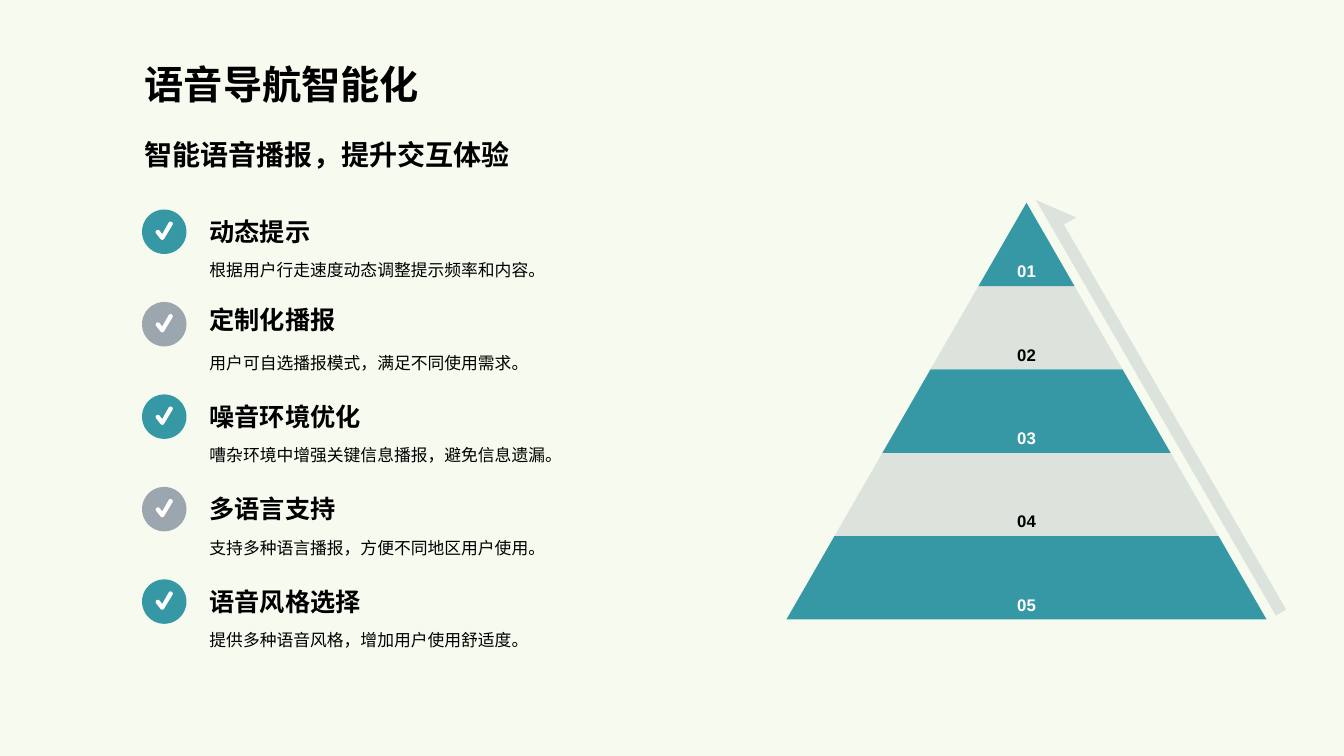
import math
from dataclasses import dataclass

import pptx
import pptx.dml.color
import pptx.enum.shapes
import pptx.enum.text
import pptx.oxml.ns
import pptx.util
from lxml import etree
from pptx.util import Cm

ANCHOR = pptx.enum.text.MSO_ANCHOR
ALIGN = pptx.enum.text.PP_ALIGN
TEAL = "3698A4"
GRAY = "768394"
WHITE = "FFFFFF"
BLACK = "000000"
BACKGROUND = "F6FAEF"

ICON_LEFT, ICON_TOP, ICON_SIZE, ROW_PITCH = 3.58, 5.28, 1.12, 2.33
TEXT_LEFT, TEXT_WIDTH = 5.03, 14.27
APEX_X, APEX_Y, TIER_HEIGHT, TIER_SPREAD = 25.87, 5.11, 2.1, 1.21

Point = tuple[float, float]


@dataclass(frozen=True)
class Feature:
    heading: str
    body: str
    heading_lift: float = 0


@dataclass(frozen=True)
class Label:
    text: str
    left: float
    top: float
    width: float
    height: float
    size: int
    bold: bool = True
    anchor: ANCHOR = ANCHOR.TOP
    line_spacing: float = 1.0


FEATURES = [
    Feature("动态提示", "根据用户行走速度动态调整提示频率和内容。"),
    Feature("定制化播报", "用户可自选播报模式，满足不同使用需求。", 0.11),
    Feature("噪音环境优化", "嘈杂环境中增强关键信息播报，避免信息遗漏。"),
    Feature("多语言支持", "支持多种语言播报，方便不同地区用户使用。"),
    Feature("语音风格选择", "提供多种语音风格，增加用户使用舒适度。"),
]


def color(value: str) -> pptx.dml.color.RGBColor:
    return pptx.dml.color.RGBColor.from_string(value)


def paint(shape, fill: str, opacity: int = 100) -> None:
    shape.shadow.inherit = False
    shape.line.fill.background()
    shape.fill.solid()
    shape.fill.fore_color.rgb = color(fill)
    if opacity < 100:
        tone = shape.fill._xPr.find(".//" + pptx.oxml.ns.qn("a:srgbClr"))
        alpha = etree.SubElement(tone, pptx.oxml.ns.qn("a:alpha"))
        alpha.set("val", str(opacity * 1000))


def style(paragraph, size: int, bold: bool, text_color: str) -> None:
    paragraph.font.name = "Arial"
    paragraph.font.size = pptx.util.Pt(size)
    paragraph.font.bold = bold
    paragraph.font.color.rgb = color(text_color)


def add_label(slide, label: Label) -> None:
    shape = slide.shapes.add_textbox(
        Cm(label.left), Cm(label.top), Cm(label.width), Cm(label.height)
    )
    frame = shape.text_frame
    frame.word_wrap = True
    frame.vertical_anchor = label.anchor
    paragraph = frame.paragraphs[0]
    paragraph.text = label.text
    paragraph.line_spacing = label.line_spacing
    style(paragraph, label.size, label.bold, BLACK)


def add_polygon(slide, points: list[Point], fill: str, opacity: int = 100):
    corners = [(Cm(x), Cm(y)) for x, y in points]
    builder = slide.shapes.build_freeform(*corners[0])
    builder.add_line_segments(corners[1:], close=True)
    shape = builder.convert_to_shape()
    paint(shape, fill, opacity)
    return shape


def arc(x: float, y: float, start: int, end: int) -> list[Point]:
    radius, steps = 0.055, 12
    angles = [math.radians(start + (end - start) * i / steps) for i in range(steps + 1)]
    return [(x + radius * math.cos(a), y + radius * math.sin(a)) for a in angles]


def add_check_icon(slide, top: float, fill: str, opacity: int) -> None:
    circle = slide.shapes.add_shape(
        pptx.enum.shapes.MSO_SHAPE.OVAL,
        Cm(ICON_LEFT), Cm(top), Cm(ICON_SIZE), Cm(ICON_SIZE),
    )
    paint(circle, fill, opacity)
    tick = [
        *arc(0.4, 0.57, -38, -218),
        *arc(0.51, 0.71, 142, 31),
        *arc(0.72, 0.36, 31, -149),
        (0.51, 0.62),
    ]
    add_polygon(slide, [(ICON_LEFT + x, top + y) for x, y in tick], WHITE)


def add_feature(slide, index: int, feature: Feature) -> None:
    top = ICON_TOP + index * ROW_PITCH
    fill, opacity = (GRAY, 70) if index % 2 else (TEAL, 100)
    add_check_icon(slide, top, fill, opacity)
    add_label(slide, Label(feature.body, TEXT_LEFT, top + 1.05, TEXT_WIDTH, 1.12,
                           12, bold=False, line_spacing=1.2))
    add_label(slide, Label(feature.heading, TEXT_LEFT, top - feature.heading_lift,
                           TEXT_WIDTH, 1.05, 18, anchor=ANCHOR.BOTTOM))


def add_tier(slide, index: int) -> None:
    top = APEX_Y + index * TIER_HEIGHT
    bottom = top + TIER_HEIGHT
    upper, lower = index * TIER_SPREAD, (index + 1) * TIER_SPREAD
    points = [
        (APEX_X - upper, top),
        (APEX_X + upper, top),
        (APEX_X + lower, bottom),
        (APEX_X - lower, bottom),
    ]
    fill, opacity, text_color = (GRAY, 20, BLACK) if index % 2 else (TEAL, 100, WHITE)
    frame = add_polygon(slide, points, fill, opacity).text_frame
    frame.vertical_anchor = ANCHOR.BOTTOM
    paragraph = frame.paragraphs[0]
    paragraph.text = f"{index + 1:02d}"
    paragraph.alignment = ALIGN.CENTER
    style(paragraph, 12, True, text_color)


def add_rising_arrow(slide) -> None:
    left, top = 23.37, 9.78
    outline = [(12.09, 0), (11.2, 0.66), (11.2, 0.3), (0, 0.3), (0, 0)]
    points = [(left + x, top + y) for x, y in outline]
    add_polygon(slide, points, GRAY, 20).rotation = 240


def main() -> None:
    presentation = pptx.Presentation()
    presentation.slide_width = Cm(33.87)
    presentation.slide_height = Cm(19.05)
    slide = presentation.slides.add_slide(presentation.slide_layouts[6])
    slide.background.fill.solid()
    slide.background.fill.fore_color.rgb = color(BACKGROUND)

    add_label(slide, Label("语音导航智能化", 3.4, 0.33, 30.18, 2.49, 28,
                           anchor=ANCHOR.BOTTOM))
    add_rising_arrow(slide)
    for index, feature in enumerate(FEATURES):
        add_feature(slide, index, feature)
        add_tier(slide, index)
    add_label(slide, Label("智能语音播报，提升交互体验", 3.4, 3.33, 14.71, 1.47, 20))
    presentation.save("out.pptx")


if __name__ == "__main__":
    main()
